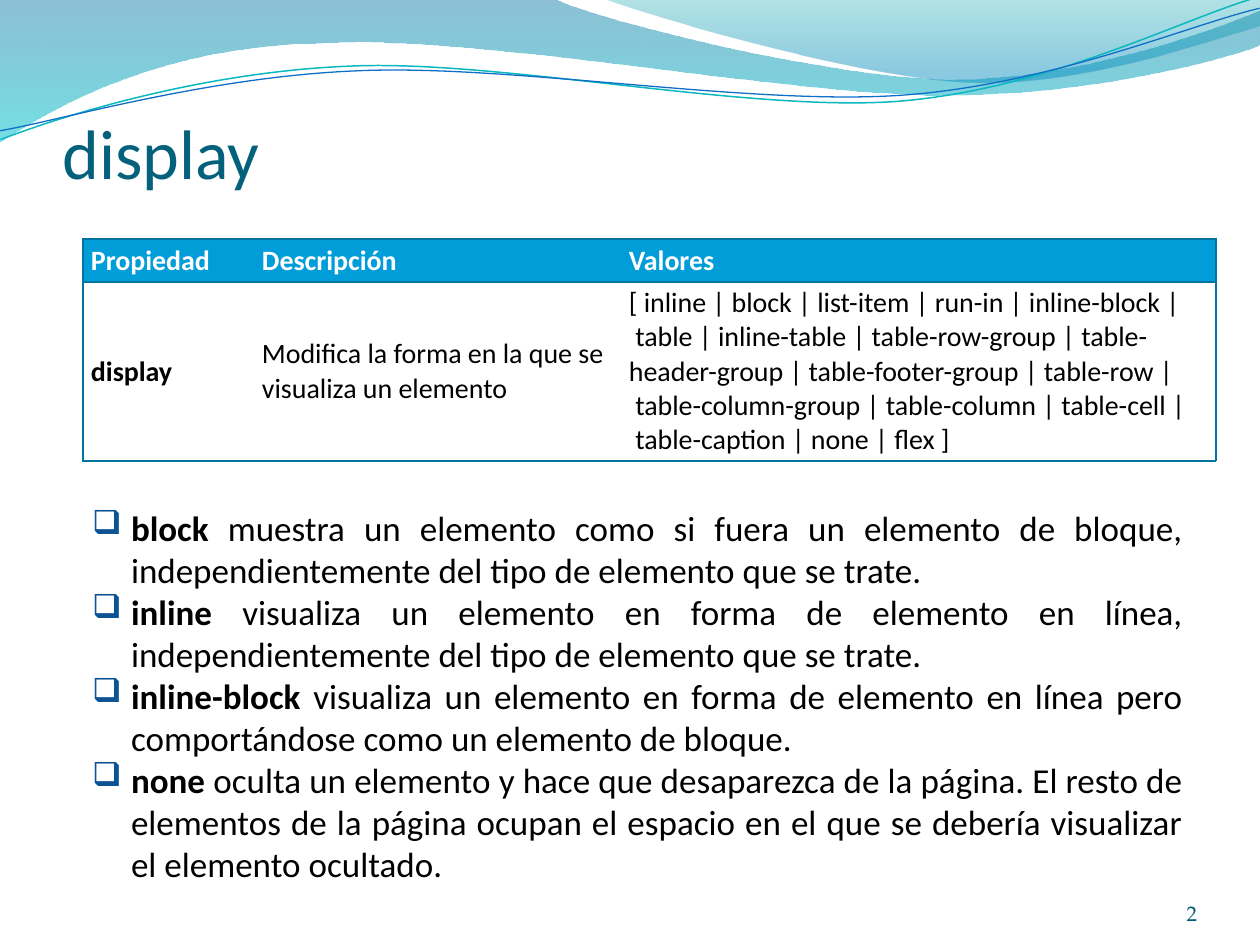
"""Build the slide about the CSS display property."""
from lxml import etree
from pptx import Presentation
from pptx.dml.color import RGBColor
from pptx.enum.text import MSO_ANCHOR, PP_ALIGN
from pptx.oxml.ns import qn
from pptx.util import Emu, Pt

BOTTOM, MIDDLE, TOP = MSO_ANCHOR.BOTTOM, MSO_ANCHOR.MIDDLE, MSO_ANCHOR.TOP
RIGHT, JUSTIFY = PP_ALIGN.RIGHT, PP_ALIGN.JUSTIFY

BLACK = RGBColor(0, 0, 0)
WHITE = RGBColor(255, 255, 255)
TITLE = RGBColor(0x04, 0x61, 0x7B)
NUMBER = RGBColor(0x04, 0x5D, 0x75)
BULLET = RGBColor(0x0B, 0x53, 0x94)
HEADER = RGBColor(0x00, 0x9D, 0xD9)
BORDER = RGBColor(0x00, 0x74, 0xA1)
TURQUOISE = RGBColor(0x00, 0xC6, 0xCF)
TEAL = RGBColor(0x00, 0xA1, 0xA9)
SKY = RGBColor(0x00, 0x8B, 0xBF)
AQUA = RGBColor(0x0A, 0xB8, 0xBF)
BLUE = RGBColor(0x0F, 0x6F, 0xC6)

VALUES = ["inline", "block", "list-item", "run-in", "inline-block", "table",
          "inline-table", "table-row-group", "table-header-group",
          "table-footer-group", "table-row", "table-column-group",
          "table-column", "table-cell", "table-caption", "none | flex"]
ROWS = [
    ["Propiedad", "Descripción", "Valores"],
    ["display", "Modifica la forma en la que se visualiza un elemento",
     "[\u00a0" + "\u00a0|\u00a0".join(VALUES) + "\u00a0]"],
]
COL_WIDTHS, ROW_HEIGHTS = [171, 367, 595], [43, 179]
BULLETS = [
    ("block", "muestra un elemento como si fuera un elemento de bloque, "
     "independientemente del tipo de elemento que se trate."),
    ("inline", "visualiza un elemento en forma de elemento en línea, "
     "independientemente del tipo de elemento que se trate."),
    ("inline-block", "visualiza un elemento en forma de elemento en línea pero "
     "comportándose como un elemento de bloque."),
    ("none", "oculta un elemento y hace que desaparezca de la página. El resto de "
     "elementos de la página ocupan el espacio en el que se debería visualizar "
     "el elemento ocultado."),
]
WAVES = [
    ([(0, 0), (554, -1), (600, 21, 837, 79, 955, 79),
      (1075, 79, 1207, 33, 1260, 11), (1261, 45), (1239, 55, 1096, 96, 940, 95),
      (784, 95, 481, 35, 324, 43), (163, 45, 58, 105, -1, 142)],
     [(0, BORDER, 45), (1, TURQUOISE, 55)]),
    ([(604, -1), (641, 14, 859, 78, 969, 82), (1079, 87, 1211, 40, 1260, 26),
      (1260, 0)],
     [(0, TEAL, 30), (0.8, SKY, 45)]),
]
STRANDS = [
    ([(-2, 110), (58, 90, 200, 52, 350, 53), (499, 53, 745, 118, 896, 114),
      (1048, 109, 1184, 45, 1260, 27)], AQUA, 0.85),
    ([(-2, 101), (57, 94, 207, 57, 357, 58), (509, 58, 750, 112, 902, 108),
      (1052, 104, 1188, 52, 1262, 38)], BLUE, 0.75),
]
STRAND_ROTATION = 357.3


def px(n):
    return Emu(round(n * 914400 / 126))


def add_curve(path, close):
    points = [(px(seg[i]), px(seg[i + 1])) for seg in path
              for i in range(0, len(seg), 2)]
    builder = slide.shapes.build_freeform(*points[0])
    builder.add_line_segments(points[1:], close=close)
    sp = builder.convert_to_shape()
    sp.shadow.inherit = False
    lines = iter(list(sp._element.iter(qn("a:lnTo"))))
    for seg in path[1:]:
        first = next(lines)
        if len(seg) == 6:
            first.tag_name = None
            curve = etree.Element(qn("a:cubicBezTo"))
            first.addprevious(curve)
            for line in (first, next(lines), next(lines)):
                curve.append(line[0])
                line.getparent().remove(line)
    return sp


def add_run(p, text, size=16, color=BLACK, bold=False, font="Calibri"):
    r = p.add_run()
    r.text = text
    r.font.size, r.font.bold, r.font.name = Pt(size), bold, font
    r.font.color.rgb = color


def add_box(x, y, w, h, anchor, side=0, top=0):
    tf = slide.shapes.add_textbox(px(x), px(y), px(w), px(h)).text_frame
    tf.word_wrap = True
    tf.vertical_anchor = anchor
    tf.margin_left = tf.margin_right = px(side)
    tf.margin_top, tf.margin_bottom = px(top), 0
    return tf


def set_bullet(p):
    pPr = p._p.get_or_add_pPr()
    pPr.set("marL", str(px(64)))
    pPr.set("indent", str(-px(39)))
    clr = etree.SubElement(pPr, qn("a:buClr"))
    etree.SubElement(clr, qn("a:srgbClr"), val=str(BULLET))
    etree.SubElement(pPr, qn("a:buSzPct"), val="95000")
    etree.SubElement(pPr, qn("a:buChar"), char="❑")


def set_borders(cell, sides):
    tcPr = cell._tc.get_or_add_tcPr()
    for i, side in enumerate("LRTB"):
        ln = etree.Element(qn("a:ln" + side), w=str(Pt(0.75)))
        if side in sides:
            fill = etree.SubElement(ln, qn("a:solidFill"))
            etree.SubElement(fill, qn("a:srgbClr"), val=str(BORDER))
        else:
            etree.SubElement(ln, qn("a:noFill"))
        tcPr.insert(i, ln)


prs = Presentation()
prs.slide_width, prs.slide_height = px(1260), px(945)
slide = prs.slides.add_slide(prs.slide_layouts[6])

for path, stops in WAVES:
    sp = add_curve(path, True)
    sp.line.fill.background()
    sp.fill.gradient()
    sp.fill.gradient_angle = 270
    for stop, (position, color, _) in zip(sp.fill.gradient_stops, stops):
        stop.position = position
        stop.color.rgb = color
    for clr, (_, _, opacity) in zip(sp._element.spPr.iter(qn("a:srgbClr")), stops):
        etree.SubElement(clr, qn("a:alpha"), val=str(opacity * 1000))

for path, color, width in STRANDS:
    sp = add_curve(path, False)
    sp.rotation = STRAND_ROTATION
    sp.fill.background()
    sp.line.color.rgb = color
    sp.line.width = Pt(width)

tf = add_box(63, 36, 1172, 157, BOTTOM)
add_run(tf.paragraphs[0], "display", size=40, color=TITLE)

table = slide.shapes.add_table(2, 3, px(83), px(239), px(sum(COL_WIDTHS)),
                               px(sum(ROW_HEIGHTS))).table
table.horz_banding = False
for column, width in zip(table.columns, COL_WIDTHS):
    column.width = px(width)
for i, (row, height) in enumerate(zip(table.rows, ROW_HEIGHTS)):
    row.height = px(height)
    for j, cell in enumerate(row.cells):
        cell.margin_left = cell.margin_right = px(8)
        cell.margin_top = cell.margin_bottom = px(4)
        cell.vertical_anchor = MIDDLE
        if i == 0:
            cell.fill.solid()
            cell.fill.fore_color.rgb = HEADER
        else:
            cell.fill.background()
        set_borders(cell, "TB" + ("L", "", "R")[j])
        add_run(cell.text_frame.paragraphs[0], ROWS[i][j],
                color=BLACK if i else WHITE, bold=i == 0 or j == 0)

tf = add_box(54, 204, 1142, 684, TOP, side=13, top=302)
for i, (term, text) in enumerate(BULLETS):
    p = tf.add_paragraph() if i else tf.paragraphs[0]
    p.alignment = JUSTIFY
    set_bullet(p)
    add_run(p, term + " ", size=20, bold=True)
    add_run(p, text, size=20)

tf = add_box(1092, 876, 105, 50, BOTTOM)
tf.paragraphs[0].alignment = RIGHT
add_run(tf.paragraphs[0], "2", size=12, color=NUMBER, font="TeX Gyre Pagella")

prs.save("out.pptx")
